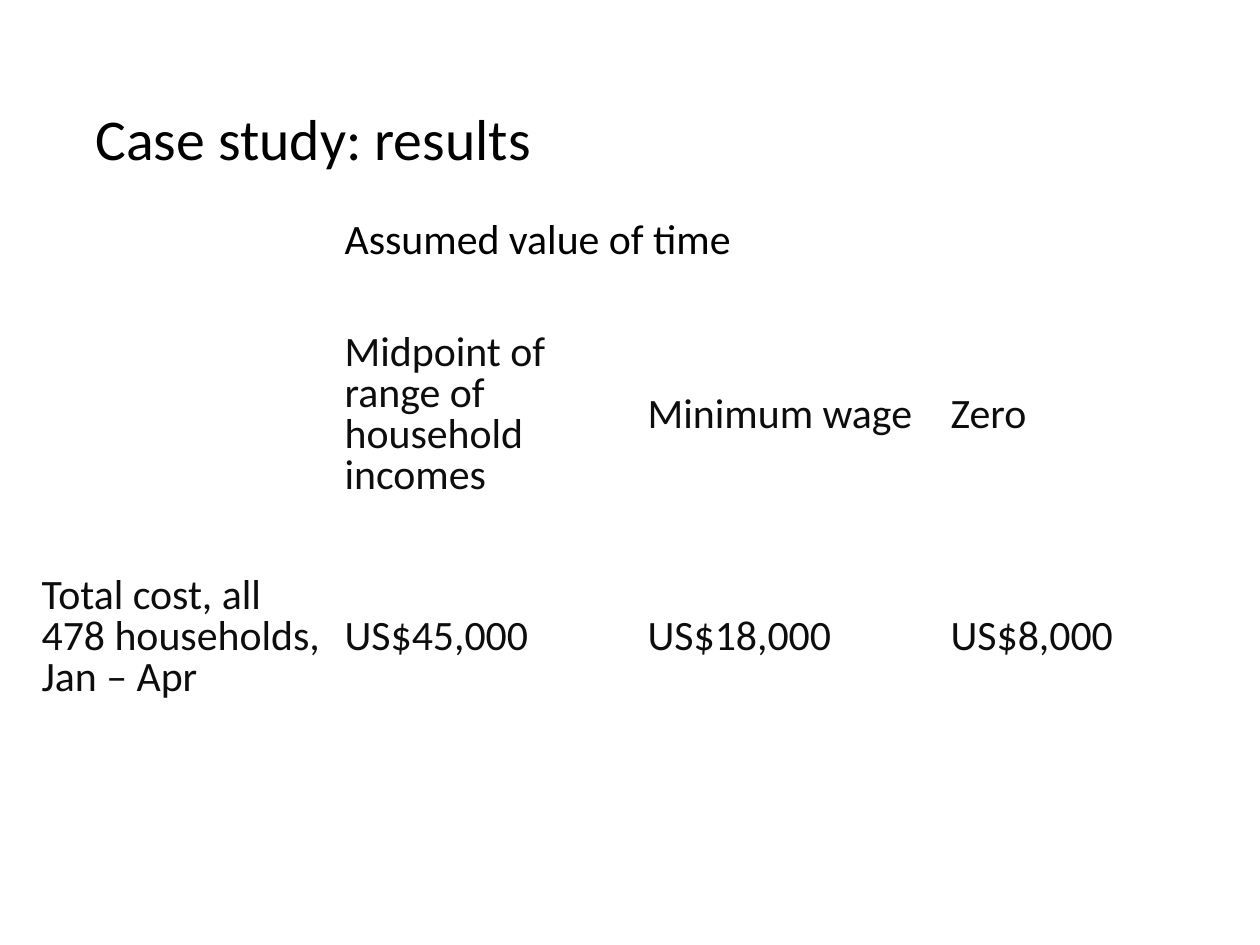
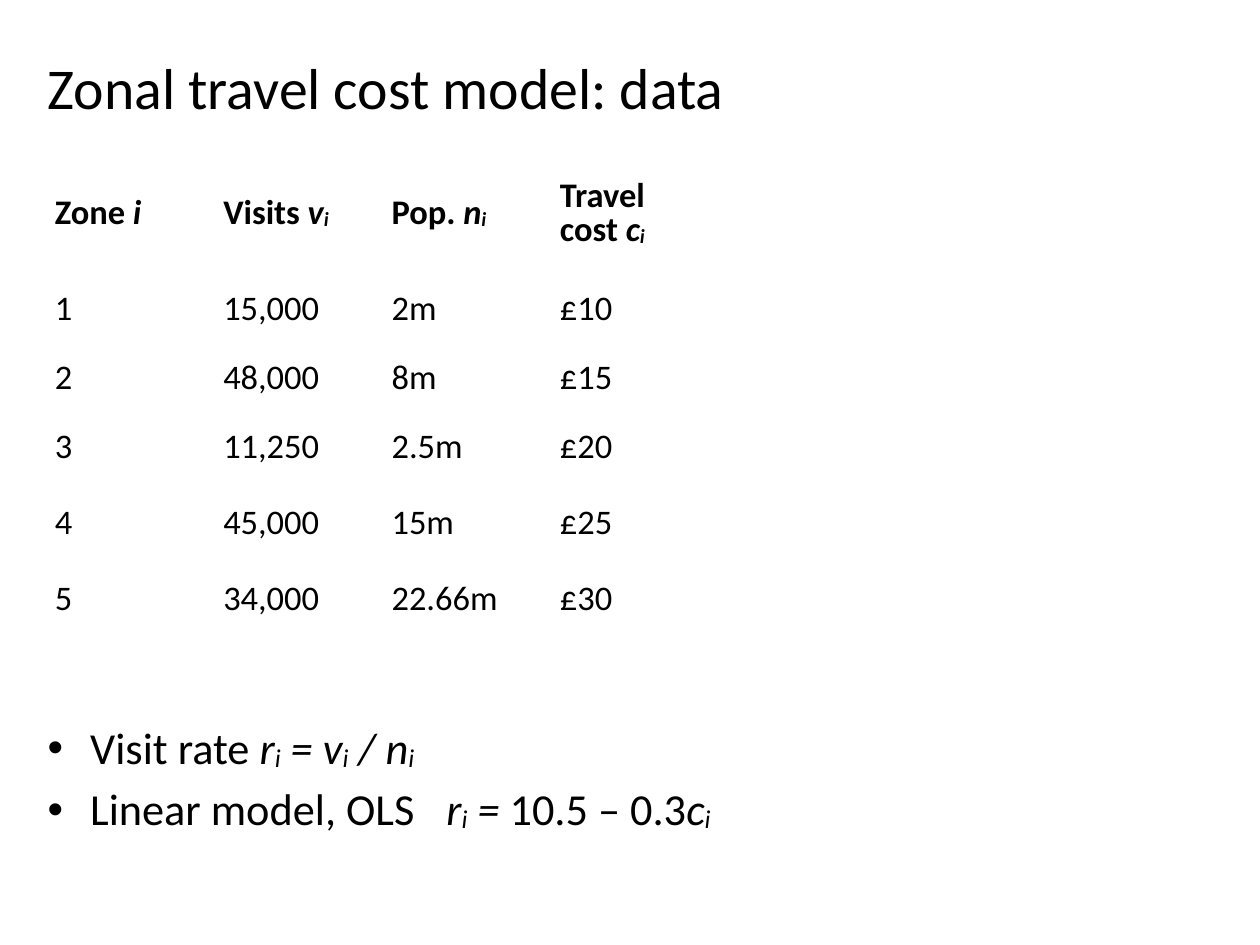
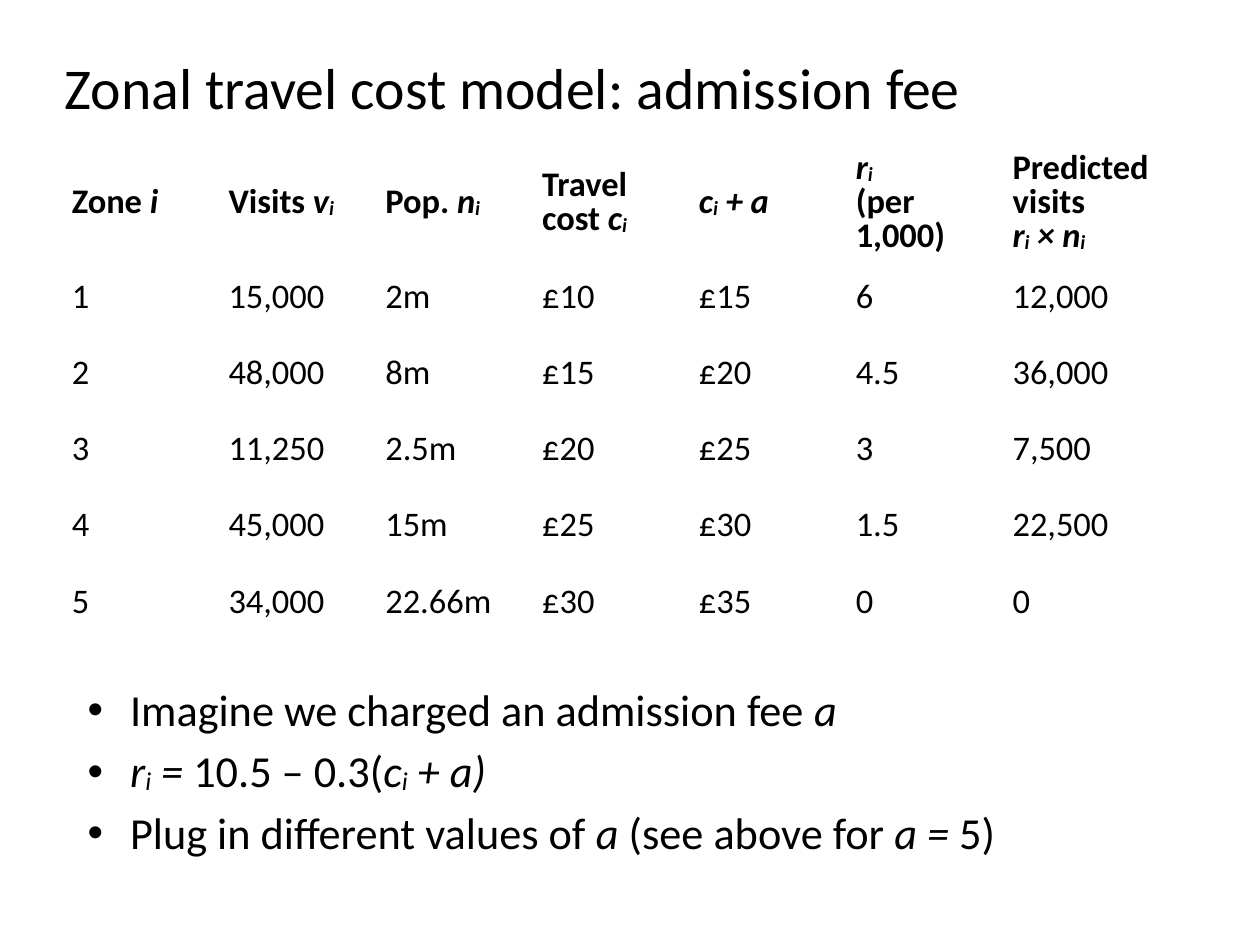
from lxml.etree import SubElement
from pptx import Presentation
from pptx.dml.color import RGBColor as Color
from pptx.enum.text import MSO_ANCHOR as Anchor, PP_ALIGN as Align
from pptx.oxml.ns import qn
from pptx.util import Inches, Pt

BLACK = RGB_TEXT = Color(0x00, 0x00, 0x00)
DARK = Color(0x0D, 0x0D, 0x0D)
WHITE = Color(0xFF, 0xFF, 0xFF)
FONT = "Calibri"

TITLE = {"size": Pt(46.9), "color": BLACK}
BODY = {"size": Pt(36), "color": BLACK}
HEAD = {"size": Pt(28), "color": BLACK, "bold": True}
DATA = {"size": Pt(28), "color": BLACK}
TOP = {"size": Pt(34), "color": BLACK}
COST = {"size": Pt(34), "color": DARK}

COSTS = [
    ["", "Assumed value of time", "", ""],
    ["", "Midpoint of range of household incomes", "Minimum wage", "Zero"],
    ["Total cost, all 478 households, Jan – Apr",
     "US$45,000", "US$18,000", "US$8,000"],
]
ZONES = [
    ["Zone *i*", "Visits *v_i*", "Pop. *n_i*", "Travel cost *c_i*"],
    ["1", "15,000", "2m", "£10"],
    ["2", "48,000", "8m", "£15"],
    ["3", "11,250", "2.5m", "£20"],
    ["4", "45,000", "15m", "£25"],
    ["5", "34,000", "22.66m", "£30"],
]
FEES = [
    ["*c_i + a*", "*r_i*\n(per 1,000)", "Predicted\nvisits\n*r_i × n_i*"],
    ["£15", "6", "12,000"],
    ["£20", "4.5", "36,000"],
    ["£25", "3", "7,500"],
    ["£30", "1.5", "22,500"],
    ["£35", "0", "0"],
]


def add_run(para, text, look, italic, sub=False):
    if not text:
        return
    run = para.add_run()
    run.text = text
    font = run.font
    values = {"name": FONT, "bold": False, "italic": italic, **look}
    font.color.rgb = values.pop("color")
    for key, value in values.items():
        setattr(font, key, value)
    if sub:
        run._r.get_or_add_rPr().set("baseline", "-6000")


def write(para, text, look):
    """Set marked text: *x* is italic, _x lowers one letter."""
    for row, line in enumerate(text.split("\n")):
        if row:
            para.add_line_break()
        for place, part in enumerate(line.split("*")):
            italic = place % 2 == 1
            first, *rest = part.split("_")
            add_run(para, first, look, italic)
            for piece in rest:
                add_run(para, piece[0], look, italic, sub=True)
                add_run(para, piece[1:], look, italic)


def add_box(slide, box, anchor):
    frame = slide.shapes.add_textbox(*map(Inches, box)).text_frame
    frame.word_wrap = True
    frame.vertical_anchor = anchor
    return frame


def add_title(slide, left, top, text):
    frame = add_box(slide, (left, top, 12.27, 2.06), Anchor.MIDDLE)
    para = frame.paragraphs[0]
    para.line_spacing = 0.9
    write(para, text, TITLE)


def add_list(slide, box, items):
    frame = add_box(slide, box, Anchor.TOP)
    for row, item in enumerate(items):
        para = frame.add_paragraph() if row else frame.paragraphs[0]
        para.line_spacing = 0.9
        if row:
            para.space_before = Pt(11)
        props = para._p.get_or_add_pPr()
        props.set("marL", str(Inches(0.48)))
        props.set("indent", str(-Inches(0.48)))
        SubElement(props, qn("a:buFont"), typeface="Arial")
        SubElement(props, qn("a:buChar"), char="•")
        write(para, item, BODY)


def add_edges(cell, top, bottom):
    props = cell._tc.get_or_add_tcPr()
    for side, width in {"L": 2, "R": 2, "T": top, "B": bottom}.items():
        line = SubElement(props, qn(f"a:ln{side}"), w=str(Pt(width)))
        fill = SubElement(line, qn("a:solidFill"))
        SubElement(fill, qn("a:srgbClr"), val=str(WHITE))


def add_grid(slide, left, top, cols, rows, data, looks, rule=2):
    """Draw a table; looks gives the first row's look, then the others'."""
    shape = slide.shapes.add_table(
        len(rows), len(cols), Inches(left), Inches(top),
        Inches(sum(cols)), Inches(sum(rows)))
    table = shape.table
    table.first_row = table.horz_banding = False
    for col, width in zip(table.columns, cols):
        col.width = Inches(width)
    for row, height in zip(table.rows, rows):
        row.height = Inches(height)
    inset = {f"margin_{side}": Inches(0.06)
             for side in ("left", "right", "top", "bottom")}
    for r in range(len(rows)):
        for c in range(len(cols)):
            cell = table.cell(r, c)
            add_edges(cell, rule if r == 1 else 2, rule if r == 0 else 2)
            cell.fill.background()
            cell.vertical_anchor = Anchor.MIDDLE
            for key, value in inset.items():
                setattr(cell, key, value)
            if c < len(data[r]) and data[r][c]:
                para = cell.text_frame.paragraphs[0]
                para.alignment = Align.LEFT
                para.line_spacing = 0.8
                write(para, data[r][c], looks[min(r, 1)])
    return table


def results(slide):
    add_title(slide, 0.98, 0.57, "Case study: results")
    table = add_grid(slide, 0.41, 2.02, [3.42] * 4, [1.42, 2.51, 2.51],
                     COSTS, (TOP, COST))
    table.cell(0, 1).merge(table.cell(0, 3))


def zones(slide):
    add_title(slide, 0.44, 0, "Zonal travel cost model: data")
    add_list(slide, (0.44, 8.15, 12.44, 2.06), [
        "Visit rate *r_i = v_i / n_i*",
        "Linear model, OLS\t*r_i = *10.5 – 0.3*c_i*",
    ])
    add_grid(slide, 0.56, 1.78, [1.9] * 3 + [1.29, 2.52] + [1.9] * 2,
             [1.29, 0.86, 0.7] + [0.86] * 3, ZONES, (HEAD, DATA), rule=5)


def fees(slide):
    add_title(slide, 0.63, 0, "Zonal travel cost model: admission fee")
    add_list(slide, (0.89, 7.72, 12.46, 2.06), [
        "Imagine we charged an admission fee *a*",
        "*r_i = *10.5 – 0.3(*c_i + a)*",
        "Plug in different values of *a *(see above for *a = *5)",
    ])
    data = [zone + fee for zone, fee in zip(ZONES, FEES)]
    add_grid(slide, 0.75, 1.65, [1.77] * 7, [1.29] + [0.86] * 5,
             data, (HEAD, DATA), rule=5)


def main():
    deck = Presentation()
    deck.slide_width, deck.slide_height = Inches(14.22), Inches(10.67)
    for build in (results, zones, fees):
        slide = deck.slides.add_slide(deck.slide_layouts[6])
        slide.background.fill.solid()
        slide.background.fill.fore_color.rgb = WHITE
        build(slide)
    deck.save("out.pptx")


if __name__ == "__main__":
    main()
